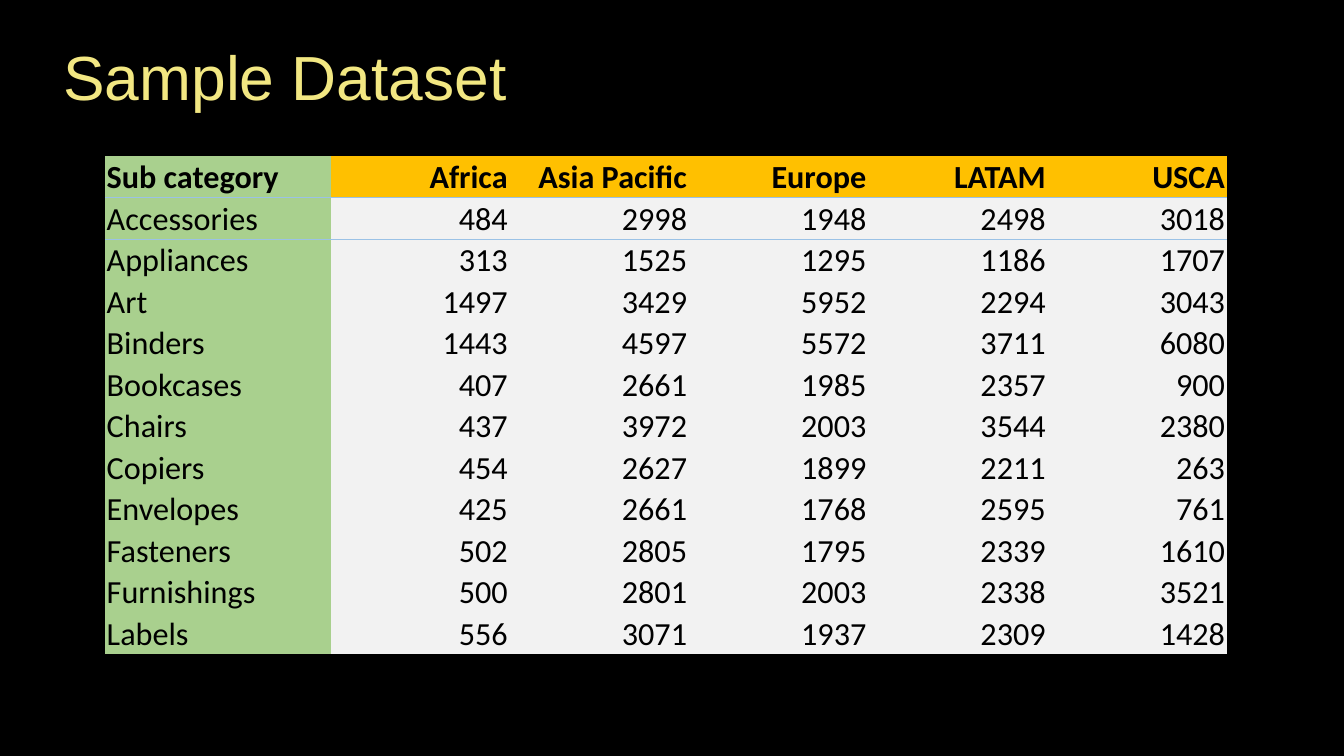
from dataclasses import dataclass

from lxml.etree import SubElement
from pptx import Presentation
from pptx.dml.color import RGBColor
from pptx.enum.text import MSO_ANCHOR, MSO_AUTO_SIZE, PP_ALIGN
from pptx.oxml.ns import qn
from pptx.slide import Slide
from pptx.table import _Cell
from pptx.text.text import _Paragraph
from pptx.util import Cm, Pt

COLORS = {
    "back": "000000",
    "title": "F2E782",
    "text": "000000",
    "label": "A9D08E",
    "head": "FFC000",
    "body": "F2F2F2",
    "rule": "9BC2E6",
}
PLAIN_STYLE = "{2D5ABB26-0587-4C30-8999-92F81FD0307C}"
LABEL_WIDTH, VALUE_WIDTH, ROW_HEIGHT = Cm(5.69), Cm(4.52), Cm(1.02)
REGIONS = ("Africa", "Asia Pacific", "Europe", "LATAM", "USCA")


@dataclass(frozen=True)
class Category:
    name: str
    sales: tuple[int, ...]


CATEGORIES = [
    Category("Accessories", (484, 2998, 1948, 2498, 3018)),
    Category("Appliances", (313, 1525, 1295, 1186, 1707)),
    Category("Art", (1497, 3429, 5952, 2294, 3043)),
    Category("Binders", (1443, 4597, 5572, 3711, 6080)),
    Category("Bookcases", (407, 2661, 1985, 2357, 900)),
    Category("Chairs", (437, 3972, 2003, 3544, 2380)),
    Category("Copiers", (454, 2627, 1899, 2211, 263)),
    Category("Envelopes", (425, 2661, 1768, 2595, 761)),
    Category("Fasteners", (502, 2805, 1795, 2339, 1610)),
    Category("Furnishings", (500, 2801, 2003, 2338, 3521)),
    Category("Labels", (556, 3071, 1937, 2309, 1428)),
]


def set_font(para: _Paragraph, name: str, size: float, color: str, bold: bool = False) -> None:
    font = para.font
    font.name, font.size, font.bold = name, Pt(size), bold
    font.color.rgb = RGBColor.from_string(COLORS[color])


def add_title(slide: Slide) -> None:
    title = slide.shapes.title
    title.left, title.top, title.width, title.height = Cm(1.6), Cm(0.89), Cm(22.58), Cm(1.98)
    frame = title.text_frame
    frame.text = "Sample Dataset"
    frame.margin_left = frame.margin_top = frame.margin_right = frame.margin_bottom = 0
    frame.auto_size = MSO_AUTO_SIZE.NONE
    frame.word_wrap = False
    frame.vertical_anchor = MSO_ANCHOR.TOP
    para = frame.paragraphs[0]
    para.alignment = PP_ALIGN.LEFT
    para.line_spacing = Pt(55.5)
    set_font(para, "Arial", 44.5, "title")


def add_rule(cell: _Cell, side: str) -> None:
    """Draw a thin border on one side; side is the DrawingML tag, such as a:lnB."""
    props = cell._tc.get_or_add_tcPr()
    line = SubElement(props, qn(side), w=str(Pt(0.5)))
    fill = SubElement(line, qn("a:solidFill"))
    SubElement(fill, qn("a:srgbClr"), val=COLORS["rule"])
    props.insert(0, line)


def fill_cell(cell: _Cell, text: str, row: int, col: int) -> None:
    cell.text = text
    cell.margin_left = cell.margin_top = cell.margin_right = Cm(0.05)
    cell.margin_bottom = 0
    cell.vertical_anchor = MSO_ANCHOR.BOTTOM
    para = cell.text_frame.paragraphs[0]
    para.alignment = PP_ALIGN.RIGHT if col else PP_ALIGN.LEFT
    set_font(para, "Calibri", 23, "text", bold=row == 0)
    color = "label" if col == 0 else "head" if row == 0 else "body"
    cell.fill.solid()
    cell.fill.fore_color.rgb = RGBColor.from_string(COLORS[color])
    if row < 2:
        add_rule(cell, "a:lnT" if row else "a:lnB")


def add_data(slide: Slide) -> None:
    rows = [("Sub category", *REGIONS)]
    rows += [(cat.name, *map(str, cat.sales)) for cat in CATEGORIES]
    width = LABEL_WIDTH + VALUE_WIDTH * len(REGIONS)
    frame = slide.shapes.add_table(
        len(rows), len(rows[0]), Cm(2.64), Cm(3.93), width, ROW_HEIGHT * len(rows)
    )
    table = frame.table
    table.first_row = table.horz_banding = False
    next(frame._element.iter(qn("a:tableStyleId"))).text = PLAIN_STYLE
    for col, column in enumerate(table.columns):
        column.width = VALUE_WIDTH if col else LABEL_WIDTH
    for row, texts in enumerate(rows):
        for col, text in enumerate(texts):
            fill_cell(table.cell(row, col), text, row, col)


def main() -> None:
    deck = Presentation()
    deck.slide_width, deck.slide_height = Cm(33.87), Cm(19.05)
    slide = deck.slides.add_slide(deck.slide_layouts[5])
    slide.background.fill.solid()
    slide.background.fill.fore_color.rgb = RGBColor.from_string(COLORS["back"])
    add_title(slide)
    add_data(slide)
    deck.save("out.pptx")


if __name__ == "__main__":
    main()
